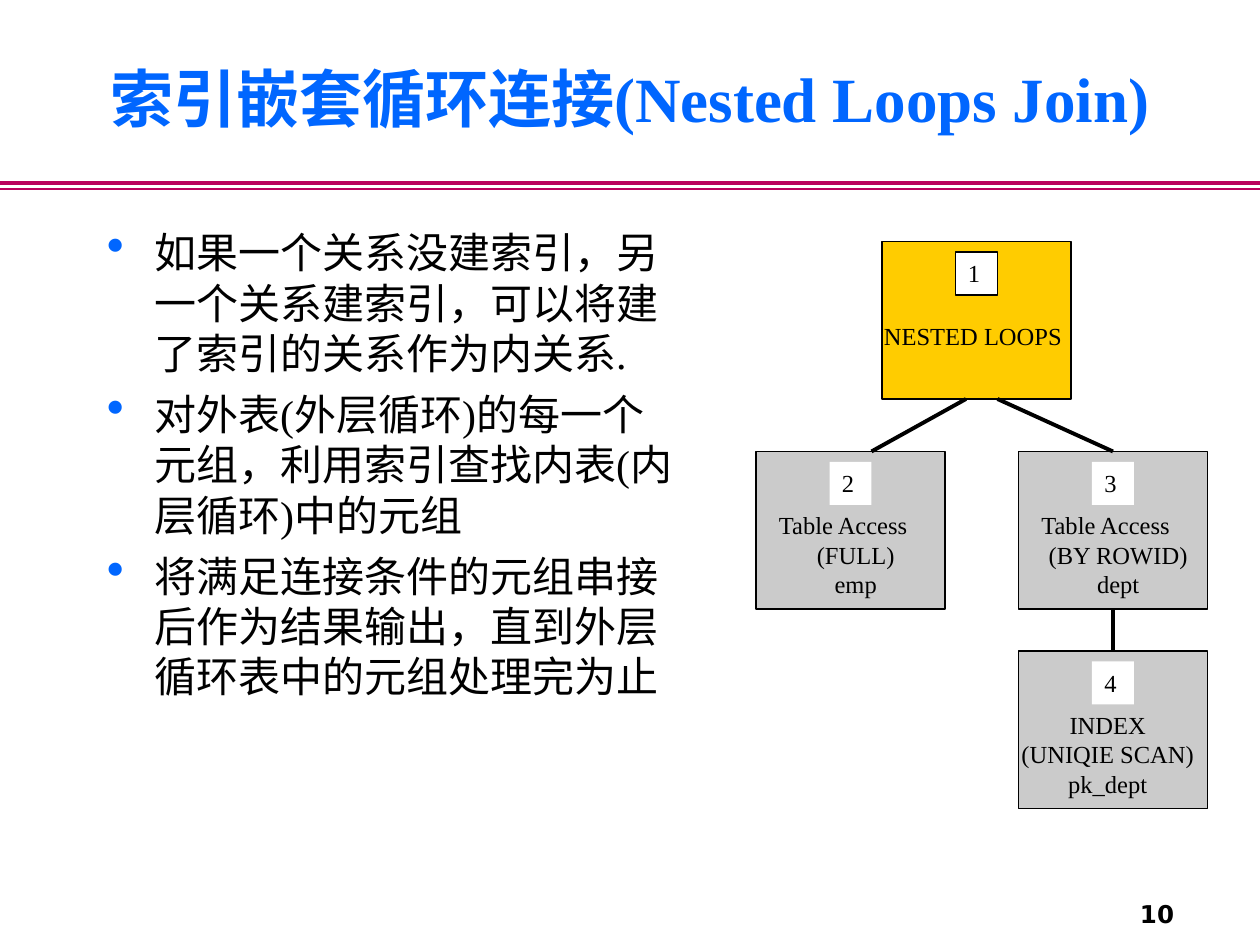
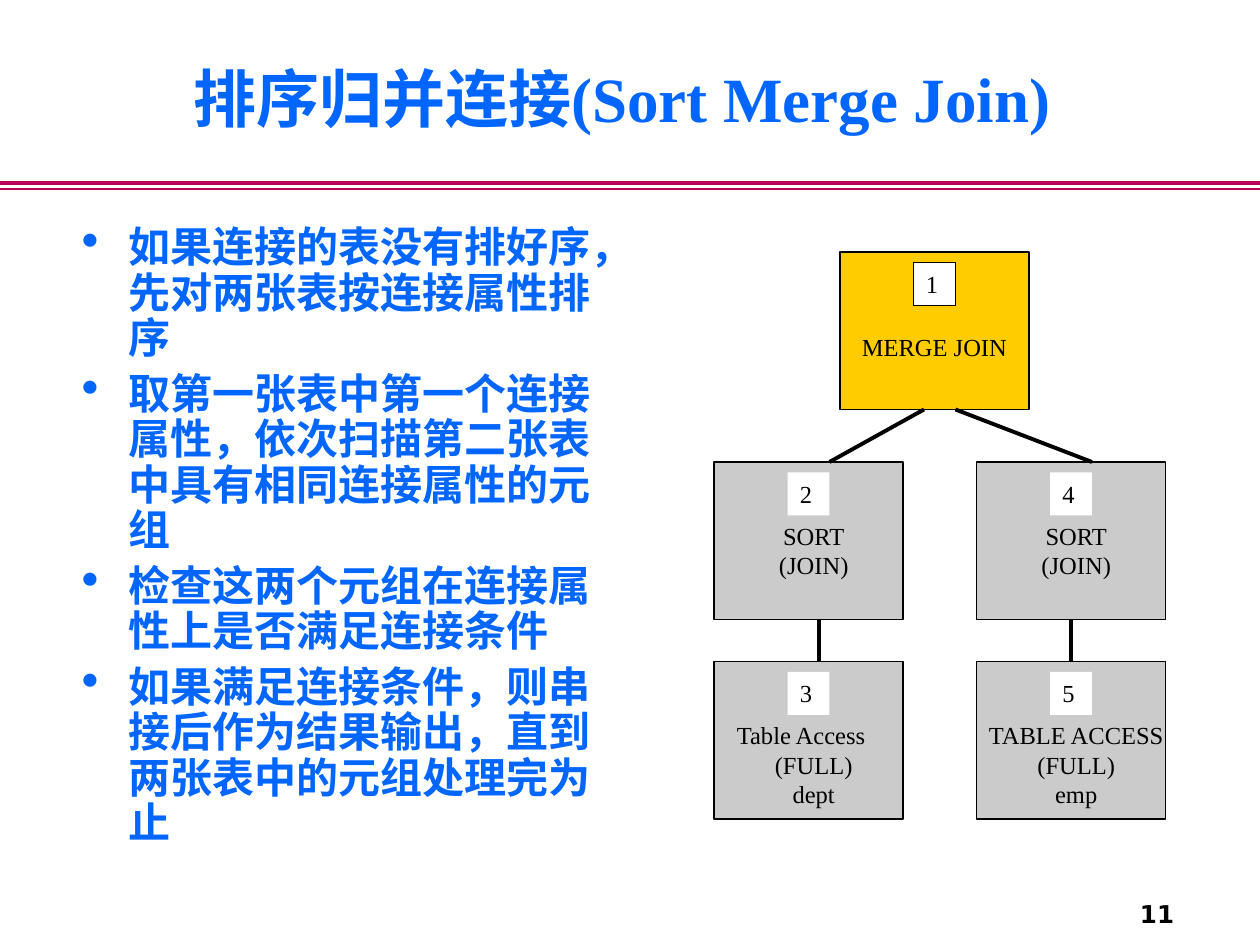
from lxml.etree import SubElement
from pptx import Presentation
from pptx.dml.color import RGBColor
from pptx.enum.shapes import MSO_CONNECTOR, MSO_SHAPE
from pptx.enum.text import MSO_ANCHOR, PP_ALIGN
from pptx.oxml.ns import qn
from pptx.util import Pt

PX = 7620  # EMU per px, 120 px to the inch
BLUE = RGBColor(0x00, 0x66, 0xFF)
CRIMSON = RGBColor(0xBA, 0x00, 0x5D)
GOLD = RGBColor(0xFF, 0xCC, 0x00)
GREY = RGBColor(0xCB, 0xCB, 0xCB)
WHITE = RGBColor(0xFF, 0xFF, 0xFF)
BLACK = RGBColor(0x00, 0x00, 0x00)
LEFT, CENTER, RIGHT = PP_ALIGN.LEFT, PP_ALIGN.CENTER, PP_ALIGN.RIGHT

NODE_W, NODE_H = 180, 150
BULLET_INDENT = 45

# node: number, left, top, label, label offset, label width, first line's alignment
# link: upper node, offset from its bottom centre, lower node, offset from its top centre
SLIDES = [
    {
        "number": "10",
        "title": "索引嵌套循环连接(Nested Loops Join) ",
        "body_box": (90, 210, 566, 570),
        "body_format": {},
        "bullets": [
            "如果一个关系没建索引，另一个关系建索引，可以将建了索引的关系作为内关系.",
            "对外表(外层循环)的每一个元组，利用索引查找内表(内层循环)中的元组",
            "将满足连接条件的元组串接后作为结果输出，直到外层循环表中的元组处理完为止",
        ],
        "nodes": [
            (1, 840, 230, ["NESTED LOOPS"], -10, 210, LEFT),
            (2, 720, 430, ["Table Access", "(FULL)", "emp"], 10, 170, LEFT),
            (3, 970, 430, ["Table Access", "(BY ROWID)", "dept"], 10, 170, LEFT),
            (4, 970, 620, ["INDEX", "(UNIQIE SCAN)", "pk_dept"], -10, 190, CENTER),
        ],
        "links": [(1, -10, 2, 20), (1, 20, 3, 0), (3, 0, 4, 0)],
    },
    {
        "number": "11",
        "title": "排序归并连接(Sort Merge Join) ",
        "body_box": (66, 210, 529, 612),
        "body_format": {"color": BLUE, "bold": True, "line_spacing": 0.9},
        "bullets": [
            "如果连接的表没有排好序，先对两张表按连接属性排序",
            "取第一张表中第一个连接属性，依次扫描第二张表中具有相同连接属性的元组",
            "检查这两个元组在连接属性上是否满足连接条件",
            "如果满足连接条件，则串接后作为结果输出，直到两张表中的元组处理完为止",
        ],
        "nodes": [
            (1, 800, 240, ["MERGE JOIN"], 0, 180, CENTER),
            (2, 680, 440, ["SORT", "(JOIN)"], 10, 170, CENTER),
            (3, 680, 630, ["Table Access", "(FULL)", "dept"], 10, 170, LEFT),
            (4, 930, 440, ["SORT", "(JOIN)"], 10, 170, CENTER),
            (5, 930, 630, ["TABLE ACCESS", "(FULL)", "emp"], -10, 210, CENTER),
        ],
        "links": [(1, -10, 2, 20), (1, 20, 4, 20), (2, 10, 3, 10), (4, 0, 5, 0)],
    },
]


def add_text(slide, box, lines, sp=None, size=14, font="Times New Roman",
             color=BLACK, bold=False, align=LEFT, first_align=None,
             anchor=MSO_ANCHOR.TOP, line_spacing=None, bullet=False):
    """Write one paragraph per line into sp, or into a new text box at box."""
    sp = sp or slide.shapes.add_textbox(*(v * PX for v in box))
    tf = sp.text_frame
    tf.word_wrap = True
    tf.vertical_anchor = anchor
    for i, line in enumerate(lines):
        p = tf.add_paragraph() if i else tf.paragraphs[0]
        p.alignment = align if i or first_align is None else first_align
        p.line_spacing = line_spacing
        r = p.add_run()
        r.text = line
        r.font.size, r.font.name, r.font.bold = Pt(size), font, bold
        r.font.color.rgb = color
        if bullet:
            p.space_before = Pt(6)
            pPr = p._p.get_or_add_pPr()
            pPr.set("marL", str(BULLET_INDENT * PX))
            pPr.set("indent", str(-BULLET_INDENT * PX))
            bu_color = SubElement(pPr, qn("a:buClr"))
            SubElement(bu_color, qn("a:srgbClr"), val=str(BLUE))
            SubElement(pPr, qn("a:buSzPct"), val="120000")
            SubElement(pPr, qn("a:buChar"), char="•")


def add_line(slide, x1, y1, x2, y2, color=BLACK, width=2.25):
    line = slide.shapes.add_connector(
        MSO_CONNECTOR.STRAIGHT, *(v * PX for v in (x1, y1, x2, y2)))
    line.line.color.rgb = color
    line.line.width = Pt(width)
    SubElement(line._element.spPr, qn("a:effectLst"))
    return line


prs = Presentation()
prs.slide_width, prs.slide_height = 1200 * PX, 900 * PX

for content in SLIDES:
    s = prs.slides.add_slide(prs.slide_layouts[6])
    add_line(s, 0, 174, 1200, 174, CRIMSON)
    add_line(s, 0, 180, 1200, 180, CRIMSON, 1)
    add_text(s, (1060, 850, 70, 40), [content["number"]], font="DejaVu Sans",
             bold=True, align=RIGHT, anchor=MSO_ANCHOR.MIDDLE)
    add_text(s, (90, 18, 1020, 150), [content["title"]], size=36, color=BLUE,
             bold=True, align=CENTER, anchor=MSO_ANCHOR.MIDDLE)
    add_text(s, content["body_box"], content["bullets"], size=24, bullet=True,
             **content["body_format"])

    nodes = {}
    for number, x, y, label, label_dx, label_w, first_align in content["nodes"]:
        is_root = number == 1
        node_box = (x, y, NODE_W, NODE_H)
        badge_box = (x + 70, y + 10, 40, 41)
        shapes = []
        for box, fill, outlined in ((node_box, GOLD if is_root else GREY, True),
                                    (badge_box, WHITE, is_root)):
            sp = s.shapes.add_shape(MSO_SHAPE.RECTANGLE, *(v * PX for v in box))
            sp.shadow.inherit = False
            sp.fill.solid()
            sp.fill.fore_color.rgb = fill
            if outlined:
                sp.line.color.rgb = BLACK
                sp.line.width = Pt(0.75)
            else:
                sp.line.fill.background()
            shapes.append(sp)
        node, badge = shapes
        nodes[number] = (node, x + NODE_W // 2, y)
        add_text(s, badge_box, [str(number)], sp=badge)
        label_box = (x + label_dx, y + (70 if is_root else 50), label_w, 32 * len(label))
        add_text(s, label_box, label, align=CENTER, first_align=first_align)

    for upper, upper_dx, lower, lower_dx in content["links"]:
        upper_node, x1, y1 = nodes[upper]
        lower_node, x2, y2 = nodes[lower]
        link = add_line(s, x1 + upper_dx, y1 + NODE_H, x2 + lower_dx, y2)
        if upper_dx == 0:
            link.begin_connect(upper_node, 2)
        if lower_dx == 0:
            link.end_connect(lower_node, 0)

prs.save("out.pptx")
